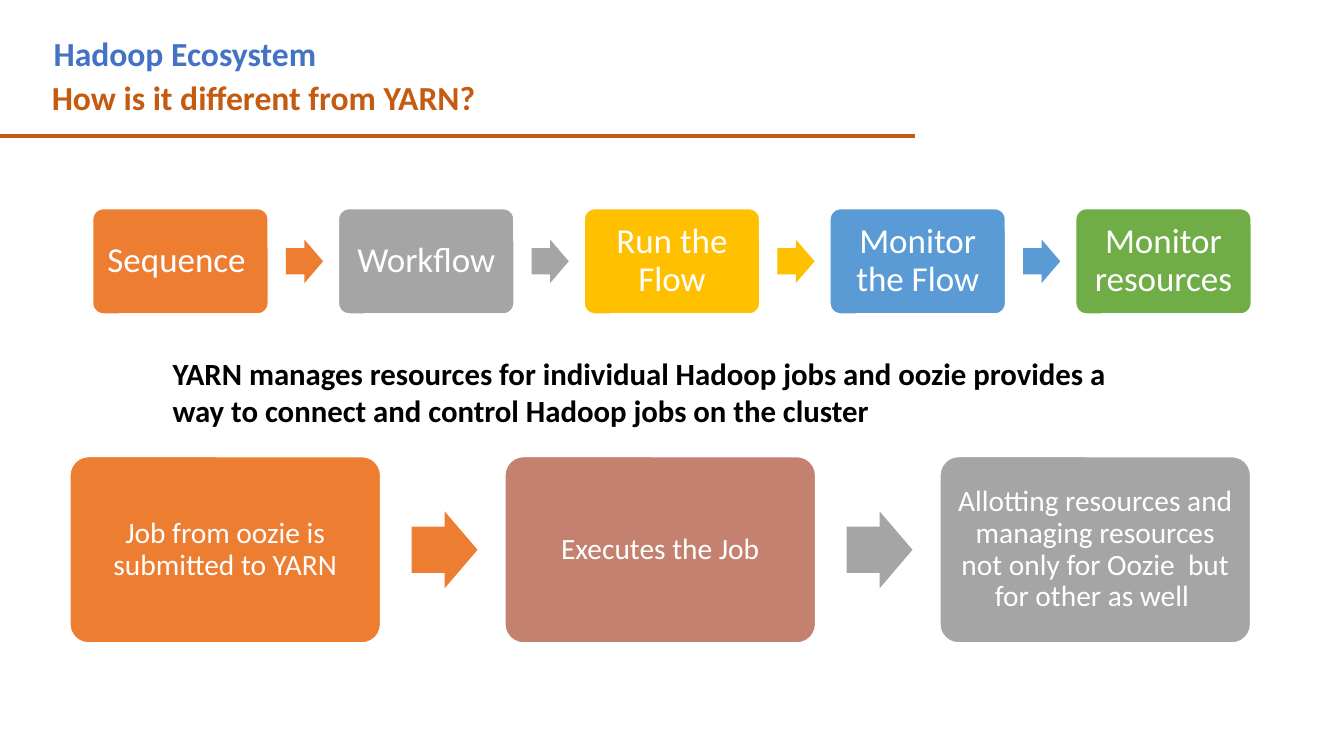
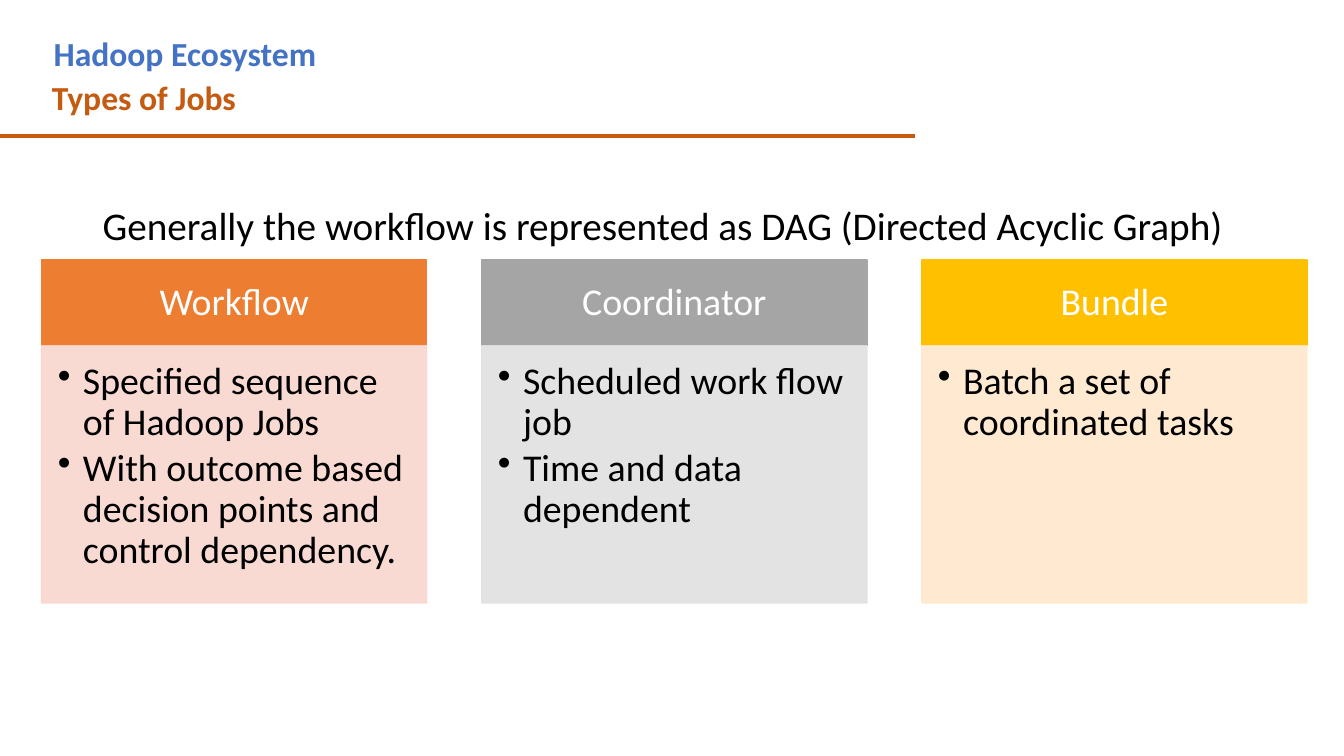
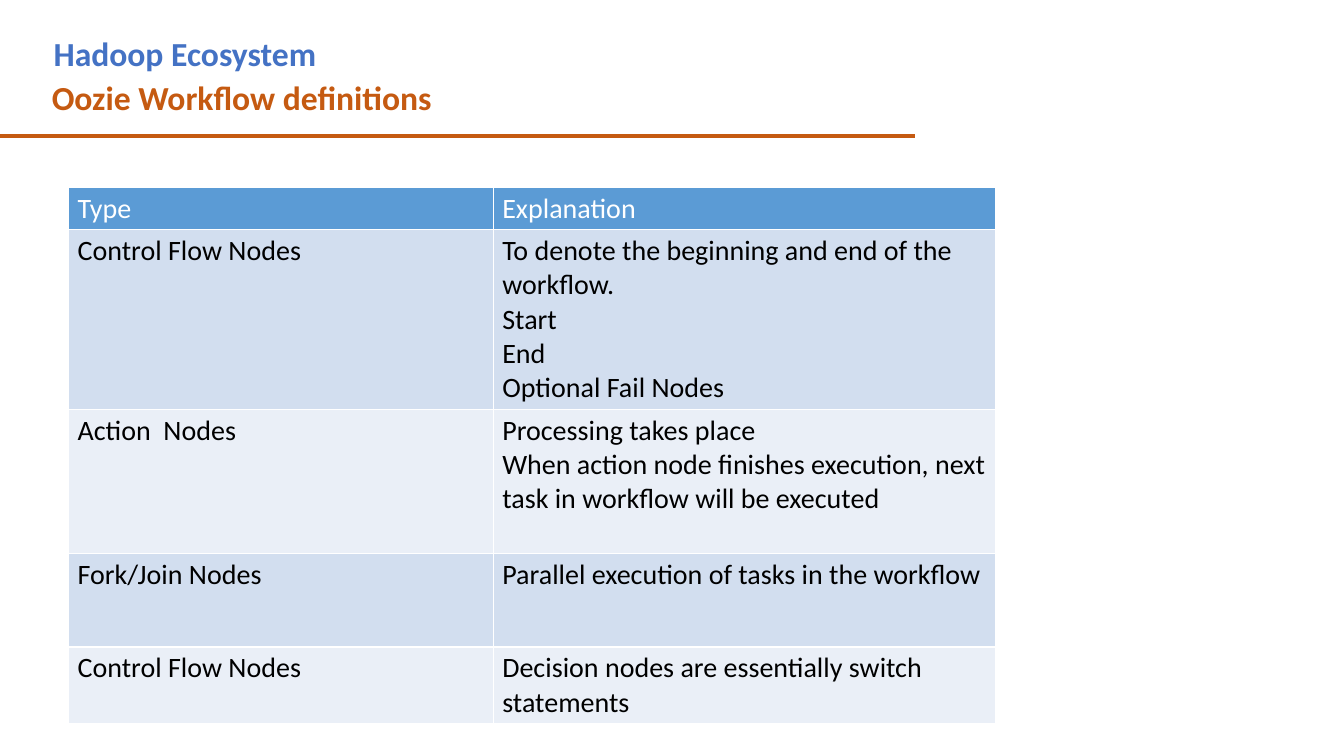
from lxml.etree import SubElement
from pptx import Presentation
from pptx.dml.color import RGBColor
from pptx.enum.shapes import MSO_CONNECTOR, MSO_SHAPE
from pptx.enum.text import MSO_ANCHOR, MSO_AUTO_SIZE, PP_ALIGN
from pptx.oxml.ns import qn
from pptx.util import Emu, Inches, Pt

# Shared look
HEX = {
    "white": "FFFFFF", "black": "000000", "blue": "4472C4", "rust": "C55A11",
    "orange": "ED7D31", "gray": "A5A5A5", "gold": "FFC000", "sky": "5B9BD5",
    "green": "70AD47", "clay": "C48170",
    "peach": "F8D7CE", "silver": "E1E1E1", "cream": "FFE8CC",
    "band": "D2DEEF", "pale": "EAEFF7",
}
FONT = "Calibri"
WIDE, HIGH = Inches(13.33), Inches(7.5)
TIGHT = (0.1, 0.05, 0.1, 0.05)


def col(n):
    """Width of n columns; the slide has 100."""
    return Emu(int(WIDE * n / 100))


def row(n):
    """Height of n rows; the slide has 100."""
    return Emu(int(HIGH * n / 100))


def area(x, y, w, h):
    return col(x), row(y), col(w), row(h)


def rgb(name):
    return RGBColor.from_string(HEX[name])


# Text
def write(frame, lines, size, color, bold=False, align=PP_ALIGN.LEFT,
          lead=1.0, gap=0, bullet=False):
    for i, line in enumerate(lines):
        para = frame.paragraphs[0] if i == 0 else frame.add_paragraph()
        para.alignment, para.line_spacing = align, lead
        para.space_before, para.space_after = Pt(0), Pt(gap)
        if bullet:
            props = para._p.get_or_add_pPr()
            props.set("marL", str(Inches(0.25)))
            props.set("indent", str(-Inches(0.25)))
            SubElement(props, qn("a:buChar"), char="•")
        run = para.add_run()
        run.text = line
        font = run.font
        font.name, font.size, font.bold = FONT, Pt(size), bold
        font.color.rgb = rgb(color)


def fit(frame, pads, anchor=MSO_ANCHOR.TOP):
    frame.word_wrap = True
    frame.auto_size = MSO_AUTO_SIZE.NONE
    frame.vertical_anchor = anchor
    (frame.margin_left, frame.margin_top,
     frame.margin_right, frame.margin_bottom) = map(Inches, pads)
    return frame


def label(slide, box, text, size, color, bold=False, lead=1.0):
    frame = fit(slide.shapes.add_textbox(*box).text_frame, TIGHT)
    write(frame, [text], size, color, bold, lead=lead)


# Shapes
def block(slide, kind, box, fill, edge=None, alpha=None):
    shape = slide.shapes.add_shape(kind, *map(int, box))
    shape.shadow.inherit = False
    shape.fill.solid()
    shape.fill.fore_color.rgb = rgb(fill)
    if edge:
        shape.line.color.rgb = rgb(edge)
        shape.line.width = Pt(1)
    else:
        shape.line.fill.background()
    if alpha:
        for tint in shape._element.spPr.iter(qn("a:srgbClr")):
            SubElement(tint, qn("a:alpha"), val=str(alpha * 1000))
    return shape


# Header band with topic, title and rule
def start(deck, title):
    slide = deck.slides.add_slide(deck.slide_layouts[5])
    label(slide, area(3.25, 3.75, 61.5, 6.7), "Hadoop Ecosystem", 24, "blue", True)
    head = slide.shapes.title
    head.left, head.top, head.width, head.height = area(3.1, 9.45, 65.6, 6.7)
    write(fit(head.text_frame, TIGHT), [title], 24, "rust", True)
    rule = slide.shapes.add_connector(
        MSO_CONNECTOR.STRAIGHT, 0, row(18), col(68.1), row(18))
    rule.line.color.rgb = rgb("rust")
    rule.line.width = Pt(3)
    SubElement(rule._element.spPr, qn("a:effectLst"))
    return slide


# Row of boxes with block arrows between them, sized from the box width
def flow(slide, x, y, width, steps, size, pad):
    count = len(steps)
    side = width / (count + 0.4 * (count - 1))
    tall = 0.6 * side
    for i, (text, fill, tip) in enumerate(steps):
        left = x + 1.4 * side * i
        card = block(slide, MSO_SHAPE.ROUNDED_RECTANGLE,
                     (left, y, side, tall), fill, "white")
        card.adjustments[0] = 0.1
        frame = fit(card.text_frame, [pad] * 4, MSO_ANCHOR.MIDDLE)
        write(frame, [text], size, "white", align=PP_ALIGN.CENTER, lead=0.9)
        if tip:
            deep = 0.248 * side
            arrow = block(slide, MSO_SHAPE.RIGHT_ARROW,
                          (left + 1.1 * side, y + (tall - deep) / 2,
                           0.212 * side, deep), tip)
            arrow.adjustments[0], arrow.adjustments[1] = 0.6, 0.5


# Columns with a heading and a bulleted body
def lists(slide, box, cards):
    x, y, width, high = box
    count = len(cards)
    side = width / (count + (count - 1) / 7)
    top = high / 4
    for i, (name, fill, tint, items) in enumerate(cards):
        left = x + side * i * 8 / 7
        head = block(slide, MSO_SHAPE.RECTANGLE, (left, y, side, top), fill, fill)
        frame = fit(head.text_frame, (0.21, 0.12, 0.21, 0.12), MSO_ANCHOR.MIDDLE)
        write(frame, [name], 27, "white", align=PP_ALIGN.CENTER, lead=0.9)
        body = block(slide, MSO_SHAPE.RECTANGLE,
                     (left, y + top, side, high - top), tint, tint, 90)
        frame = fit(body.text_frame, (0.16, 0.16, 0.21, 0.24))
        write(frame, items, 27, "black", lead=0.9, gap=4, bullet=True)


# Table with white cell borders
def border(cell):
    props = cell._tc.get_or_add_tcPr()
    for i, tag in enumerate(("a:lnL", "a:lnR", "a:lnT", "a:lnB")):
        line = props.makeelement(qn(tag), {"w": str(Pt(1))})
        fill = SubElement(line, qn("a:solidFill"))
        SubElement(fill, qn("a:srgbClr"), val=HEX["white"])
        props.insert(i, line)


def grid(slide, x, y, wides, highs, rows):
    table = slide.shapes.add_table(
        len(rows), len(wides), col(x), row(y),
        col(sum(wides)), row(sum(highs))).table
    for i, wide in enumerate(wides):
        table.columns[i].width = col(wide)
    for r, texts in enumerate(rows):
        table.rows[r].height = row(highs[r])
        fill = "sky" if r == 0 else "band" if r % 2 else "pale"
        for c, lines in enumerate(texts):
            cell = table.cell(r, c)
            cell.margin_left = cell.margin_right = Inches(0.09)
            cell.margin_top = cell.margin_bottom = Inches(0.04)
            cell.fill.solid()
            cell.fill.fore_color.rgb = rgb(fill)
            border(cell)
            write(cell.text_frame, lines, 20, "black" if r else "white")


# Slides
def yarn(deck):
    slide = start(deck, "How is it different from YARN?")
    flow(slide, col(6.9), row(27.6), col(86.2), [
        ("Sequence ", "orange", "orange"),
        ("Workflow", "gray", "gray"),
        ("Run the Flow", "gold", "gold"),
        ("Monitor the Flow", "sky", "sky"),
        ("Monitor resources", "green", None),
    ], 25, 0.1)
    label(slide, area(12.1, 46.3, 72.15, 11.2),
          "YARN manages resources for individual Hadoop jobs and oozie "
          "provides a way to connect and control Hadoop jobs on the cluster",
          22, "black", True)
    flow(slide, col(5.2), row(60.4), col(87.85), [
        ("Job from oozie is submitted to YARN", "orange", "orange"),
        ("Executes the Job", "clay", "gray"),
        ("Allotting resources and managing resources not only for Oozie  but "
         "for other as well ", "gray", None),
    ], 21, 0.09)


def jobs(deck):
    slide = start(deck, "Types of Jobs")
    label(slide, area(6.9, 26.7, 86.25, 7),
          "Generally the workflow is represented as DAG (Directed Acyclic Graph)",
          28, "black", lead=0.9)
    lists(slide, area(3.1, 34.4, 94.15, 45.35), [
        ("Workflow", "orange", "peach", [
            "Specified sequence of Hadoop Jobs",
            "With outcome based decision points and control dependency."]),
        ("Coordinator", "gray", "silver", [
            "Scheduled work flow job", "Time and data dependent"]),
        ("Bundle", "gold", "cream", ["Batch a set of coordinated tasks"]),
    ])


def nodes(deck):
    slide = start(deck, "Oozie Workflow definitions")
    grid(slide, 5.1, 24.8, (31.6, 37.35), (5.6, 23.35, 19.05, 12.4, 10), [
        (["Type"], ["Explanation"]),
        (["Control Flow Nodes"],
         ["To denote the beginning and end of the workflow.",
          "Start", "End", "Optional Fail Nodes"]),
        (["Action  Nodes"],
         ["Processing takes place",
          "When action node finishes execution, next task in workflow "
          "will be executed"]),
        (["Fork/Join Nodes"], ["Parallel execution of tasks in the workflow"]),
        (["Control Flow Nodes"],
         ["Decision nodes are essentially switch statements"]),
    ])


def main():
    deck = Presentation()
    deck.slide_width, deck.slide_height = WIDE, HIGH
    for build in (yarn, jobs, nodes):
        build(deck)
    deck.save("out.pptx")


if __name__ == "__main__":
    main()
